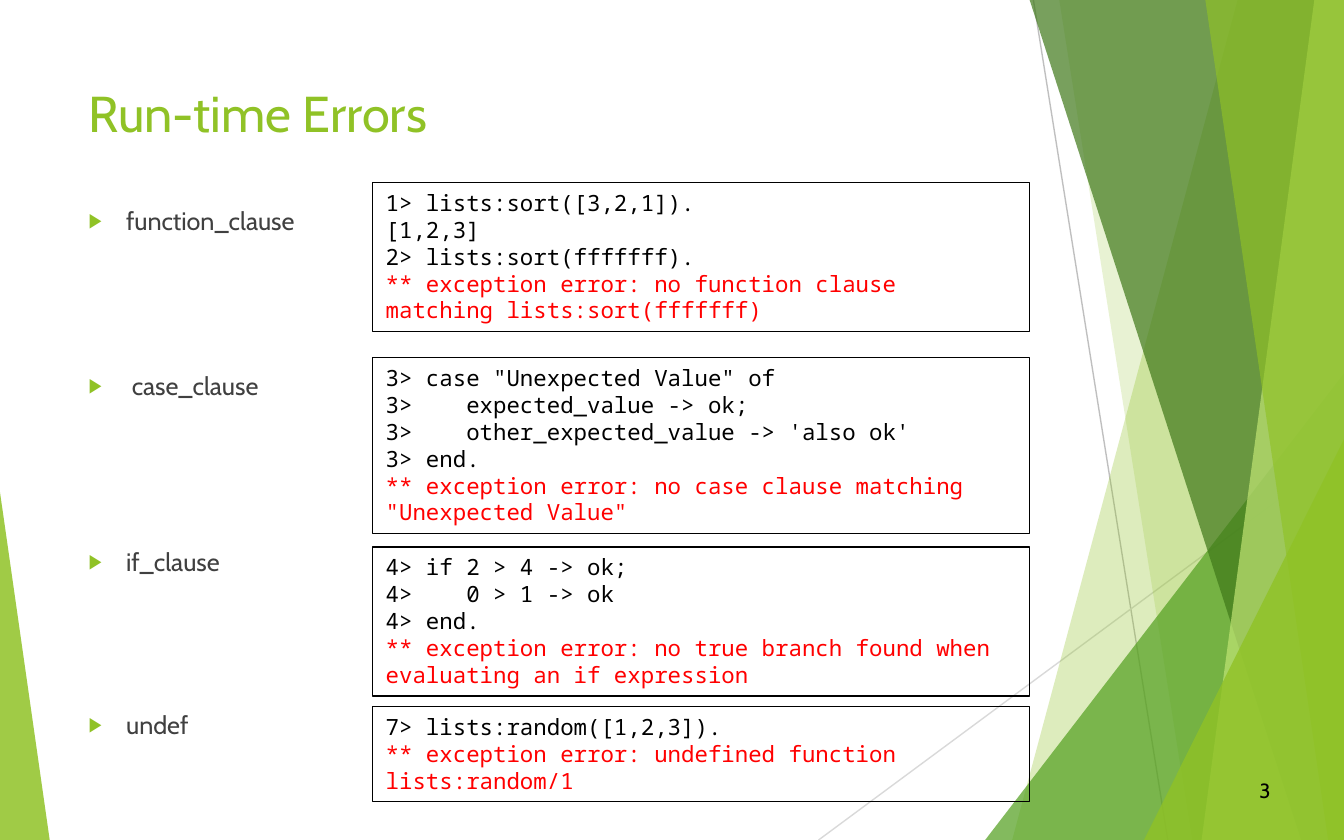
from dataclasses import dataclass

from lxml import etree
from pptx import Presentation
from pptx import util as u
from pptx.dml.color import RGBColor
from pptx.enum import shapes, text
from pptx.oxml import ns
from pptx.oxml import xmlchemy as xml
from pptx.shapes.autoshape import Shape
from pptx.slide import Slide
from pptx.text.text import _Paragraph as Paragraph

COLORS = {
    "lime": "90C226", "green": "54A021", "forest": "3F7819", "pale": "C0E474",
    "body": "404040", "code": "000000", "error": "FF0000",
    "gray": "BFBFBF", "light_gray": "D9D9D9",
}
WIDTH, HEIGHT = 25.4, 15.88
TEXT_FONT, CODE_FONT = "Cabin", "Noto Sans Mono"
CODE_LEFT, CODE_WIDTH, CODE_LINE = 7.04, 12.42, 0.51


@dataclass(frozen=True)
class Ray:
    start: tuple[float, float]
    end: tuple[float, float]
    color: str


@dataclass(frozen=True)
class Facet:
    """Band from a slanted left edge to the right side of the slide."""
    top_x: float
    bottom_x: float
    color: str
    opacity: int


@dataclass(frozen=True)
class Corner:
    """Right triangle standing on the bottom of the slide."""
    left: float
    top: float
    width: float
    apex: float
    color: str
    opacity: int


@dataclass(frozen=True)
class ErrorCase:
    name: str
    space_before: float
    top: float
    commands: tuple[str, ...]
    message: str


RAYS = [
    Ray((19.53, 0), (22.07, HEIGHT), "gray"),
    Ray((WIDTH, 8.53), (15.47, HEIGHT), "light_gray"),
]
DECORATION = [
    Facet(23.39, 19.13, "lime", 30),
    Facet(20.02, 22.53, "lime", 20),
    Corner(18.62, 7.06, 6.78, 1, "green", 72),
    Facet(19.46, 24.59, "forest", 70),
    Facet(24.84, 22.71, "pale", 70),
    Facet(22.78, 25.1, "lime", 65),
    Corner(21.62, 8.31, 3.78, 1, "lime", 80),
    Corner(0, 9.3, 0.94, 0, "lime", 85),
]
CASES = [
    ErrorCase("function_clause", 0, 3.45,
              ("1> lists:sort([3,2,1]).", "[1,2,3]", "2> lists:sort(fffffff)."),
              "** exception error: no function clause matching lists:sort(fffffff)"),
    ErrorCase(" case_clause", 72, 6.76,
              ('3> case "Unexpected Value" of', "3>    expected_value -> ok;",
               "3>    other_expected_value -> 'also ok'", "3> end."),
              '** exception error: no case clause matching "Unexpected Value"'),
    ErrorCase("if_clause", 78.4, 10.34,
              ("4> if 2 > 4 -> ok;", "4>    0 > 1 -> ok", "4> end."),
              "** exception error: no true branch found when evaluating an if expression"),
    ErrorCase("undef", 71, 13.36,
              ("7> lists:random([1,2,3]).",),
              "** exception error: undefined function lists:random/1"),
]


def rgb(name: str) -> RGBColor:
    return RGBColor.from_string(COLORS[name])


def add_span(para: Paragraph, words: str, size: float, color: str,
             font: str = TEXT_FONT) -> None:
    span = para.add_run()
    span.text = words
    span.font.name = font
    span.font.size = u.Pt(size)
    span.font.color.rgb = rgb(color)


def place(shape: Shape, left: float, top: float, width: float, height: float) -> None:
    shape.left, shape.top = u.Cm(left), u.Cm(top)
    shape.width, shape.height = u.Cm(width), u.Cm(height)


def paint(shape: Shape, color: str, opacity: int) -> None:
    shape.shadow.inherit = False
    shape.line.fill.background()
    shape.fill.solid()
    shape.fill.fore_color.rgb = rgb(color)
    tint = shape.fill._xPr.find(".//" + ns.qn("a:srgbClr"))
    etree.SubElement(tint, ns.qn("a:alpha"), val=str(opacity * 1000))


def add_ray(page: Slide, ray: Ray) -> None:
    line = page.shapes.add_connector(
        shapes.MSO_CONNECTOR.STRAIGHT, *(u.Cm(v) for v in ray.start + ray.end))
    line.line.color.rgb = rgb(ray.color)
    line.line.width = u.Pt(0.75)
    etree.SubElement(line._element.spPr, ns.qn("a:effectLst"))


def add_facet(page: Slide, facet: Facet) -> None:
    corners = [(facet.top_x, 0), (WIDTH, 0), (WIDTH, HEIGHT), (facet.bottom_x, HEIGHT)]
    points = [(u.Cm(x), u.Cm(y)) for x, y in corners]
    outline = page.shapes.build_freeform(*points[0])
    outline.add_line_segments(points[1:], close=True)
    paint(outline.convert_to_shape(), facet.color, facet.opacity)


def add_corner(page: Slide, corner: Corner) -> None:
    triangle = page.shapes.add_shape(
        shapes.MSO_SHAPE.ISOSCELES_TRIANGLE, u.Cm(corner.left), u.Cm(corner.top),
        u.Cm(corner.width), u.Cm(HEIGHT - corner.top))
    triangle.adjustments[0] = corner.apex
    paint(triangle, corner.color, corner.opacity)


def add_bullet(para: Paragraph) -> None:
    props = para._p.get_or_add_pPr()
    props.set("marL", str(u.Cm(0.71)))
    props.set("indent", str(-u.Cm(0.71)))
    tint = etree.SubElement(props, ns.qn("a:buClr"))
    etree.SubElement(tint, ns.qn("a:srgbClr"), val=COLORS["lime"])
    etree.SubElement(props, ns.qn("a:buSzPct"), val="80000")
    etree.SubElement(props, ns.qn("a:buChar"), char="▶")


def fill_title(box: Shape) -> None:
    place(box, 1.42, 1.42, 17.91, 3.05)
    box.text_frame.vertical_anchor = text.MSO_ANCHOR.TOP
    para = box.text_frame.paragraphs[0]
    para.alignment = text.PP_ALIGN.LEFT
    add_span(para, "Run-time Errors", 27, "lime")


def fill_list(box: Shape, cases: list[ErrorCase]) -> None:
    place(box, 1.42, 3.76, 17.91, 10.24)
    frame = box.text_frame
    frame.auto_size = text.MSO_AUTO_SIZE.NONE
    for index, case in enumerate(cases):
        para = frame.add_paragraph() if index else frame.paragraphs[0]
        para.space_before = u.Pt(case.space_before)
        add_bullet(para)
        add_span(para, case.name, 13.5, "body")


def add_session(page: Slide, case: ErrorCase) -> None:
    """Draw the framed shell session; its message wraps to two lines."""
    height = 0.27 + CODE_LINE * (len(case.commands) + 2)
    box = page.shapes.add_shape(
        shapes.MSO_SHAPE.RECTANGLE, u.Cm(CODE_LEFT), u.Cm(case.top),
        u.Cm(CODE_WIDTH), u.Cm(height))
    box.shadow.inherit = False
    box.fill.background()
    box.line.color.rgb = rgb("code")
    box.line.width = u.Pt(0.75)
    frame = box.text_frame
    frame.word_wrap = True
    frame.vertical_anchor = text.MSO_ANCHOR.TOP
    lines = [(command, "code") for command in case.commands] + [(case.message, "error")]
    for index, (words, color) in enumerate(lines):
        para = frame.add_paragraph() if index else frame.paragraphs[0]
        para.alignment = text.PP_ALIGN.LEFT
        para.line_spacing = u.Pt(14.4)
        add_span(para, words, 12, color, CODE_FONT)


def add_page_number(page: Slide) -> None:
    box = page.shapes.add_textbox(u.Cm(23.55), u.Cm(14.58), u.Cm(1.14), u.Cm(0.74))
    add_span(box.text_frame.paragraphs[0], "3", 11, "code")


def main() -> None:
    deck = Presentation()
    deck.slide_width, deck.slide_height = u.Cm(WIDTH), u.Cm(HEIGHT)
    page = deck.slides.add_slide(deck.slide_layouts[1])
    for ray in RAYS:
        add_ray(page, ray)
    for piece in DECORATION:
        if isinstance(piece, Facet):
            add_facet(page, piece)
        else:
            add_corner(page, piece)
    add_page_number(page)
    fill_title(page.shapes.title)
    fill_list(page.placeholders[1], CASES)
    for case in CASES:
        add_session(page, case)
    deck.save("out.pptx")


if __name__ == "__main__":
    main()
